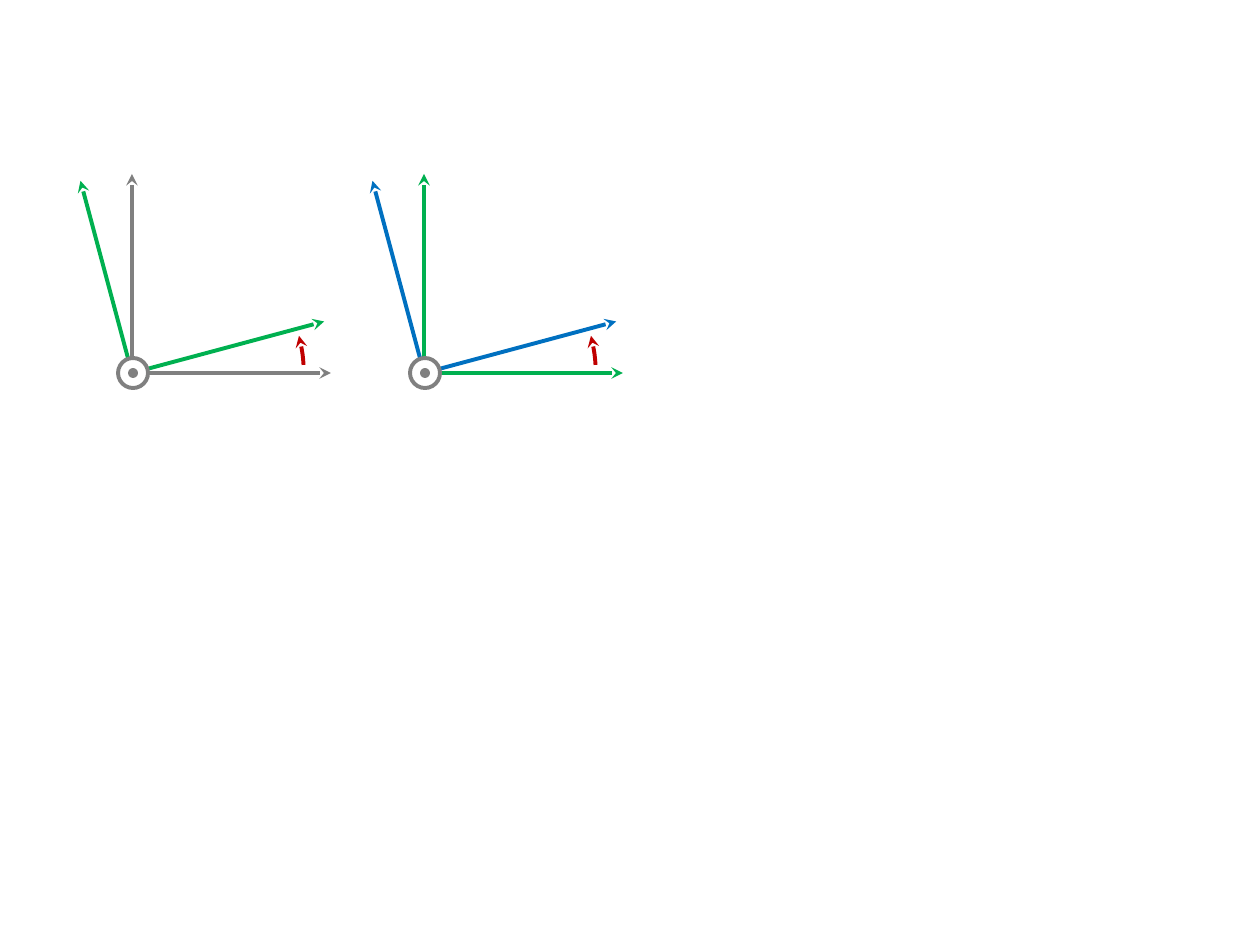
import math
from dataclasses import dataclass

import pptx
import pptx.dml.color
import pptx.enum.shapes
import pptx.oxml
import pptx.oxml.ns
import pptx.util

PX = 914400 / 126
GRAY, GREEN, BLUE, RED, WHITE = "808080", "00B050", "0070C0", "C00000", "FFFFFF"
ORIGIN_Y = 373
AXIS_LENGTH = 199
TILT = 15
SHAPE = pptx.enum.shapes.MSO_SHAPE


@dataclass
class Rotation:
    """A pair of axes and the same pair turned by TILT degrees."""
    origin_x: int
    base_color: str
    turned_color: str


ROTATIONS = [Rotation(132, GRAY, GREEN), Rotation(424, GREEN, BLUE)]


def emu(px: float) -> int:
    return round(px * PX)


def rgb(color: str) -> pptx.dml.color.RGBColor:
    return pptx.dml.color.RGBColor.from_string(color)


def style_line(line, color: str, arrow_end: str = "") -> None:
    """Set the stroke; arrow_end is headEnd, tailEnd or empty."""
    line.color.rgb = rgb(color)
    line.width = pptx.util.Pt(2.25)
    if arrow_end:
        ln = line._get_or_add_ln()
        end = pptx.oxml.parse_xml(
            f'<a:{arrow_end} {pptx.oxml.ns.nsdecls("a")} type="stealth"/>')
        ln.append(end)


def add_axis(group, x: int, degrees: int, color: str) -> None:
    angle = math.radians(degrees)
    end_x = x + AXIS_LENGTH * math.cos(angle)
    end_y = ORIGIN_Y - AXIS_LENGTH * math.sin(angle)
    axis = group.shapes.add_connector(
        pptx.enum.shapes.MSO_CONNECTOR.STRAIGHT,
        emu(x), emu(ORIGIN_Y), emu(end_x), emu(end_y))
    style_line(axis.line, color, "tailEnd")
    axis._element.spPr.append(
        pptx.oxml.parse_xml(f'<a:effectLst {pptx.oxml.ns.nsdecls("a")}/>'))


def add_outline(group, kind, x: int, y: int, w: int, h: int,
                color: str, fill: str = "", arrow_end: str = ""):
    sp = group.shapes.add_shape(kind, emu(x), emu(y), emu(w), emu(h))
    sp.shadow.inherit = False
    if fill:
        sp.fill.solid()
        sp.fill.fore_color.rgb = rgb(fill)
    else:
        sp.fill.background()
    style_line(sp.line, color, arrow_end)
    return sp


def add_axes(group, rotation: Rotation) -> None:
    x = rotation.origin_x
    for color, turn in ((rotation.base_color, 0), (rotation.turned_color, TILT)):
        for degrees in (0, 90):
            add_axis(group, x, degrees + turn, color)
    arc = add_outline(group, SHAPE.ARC, x - 171, ORIGIN_Y - 166, 343, 338,
                      RED, arrow_end="headEnd")
    # Adjustments count 100000ths while the arc's angles count 60000ths of a degree.
    for i, degrees in enumerate((346.44, 356.3)):
        arc.adjustments[i] = degrees * 0.6


def add_out_of_plane_axis(group, x: int) -> None:
    """A ring with a dot: the axis that points at the viewer."""
    add_outline(group, SHAPE.OVAL, x - 14, ORIGIN_Y - 15, 30, 30, GRAY, WHITE)
    add_outline(group, SHAPE.OVAL, x - 2, ORIGIN_Y - 3, 6, 6, GRAY, GRAY)


def main() -> None:
    prs = pptx.Presentation()
    prs.slide_width = pptx.util.Inches(10)
    prs.slide_height = pptx.util.Inches(7.5)
    s = prs.slides.add_slide(prs.slide_layouts[6])
    for rotation in ROTATIONS:
        add_axes(s.shapes.add_group_shape(), rotation)
    for rotation in ROTATIONS:
        add_out_of_plane_axis(s.shapes.add_group_shape(), rotation.origin_x)
    prs.save("out.pptx")


if __name__ == "__main__":
    main()
